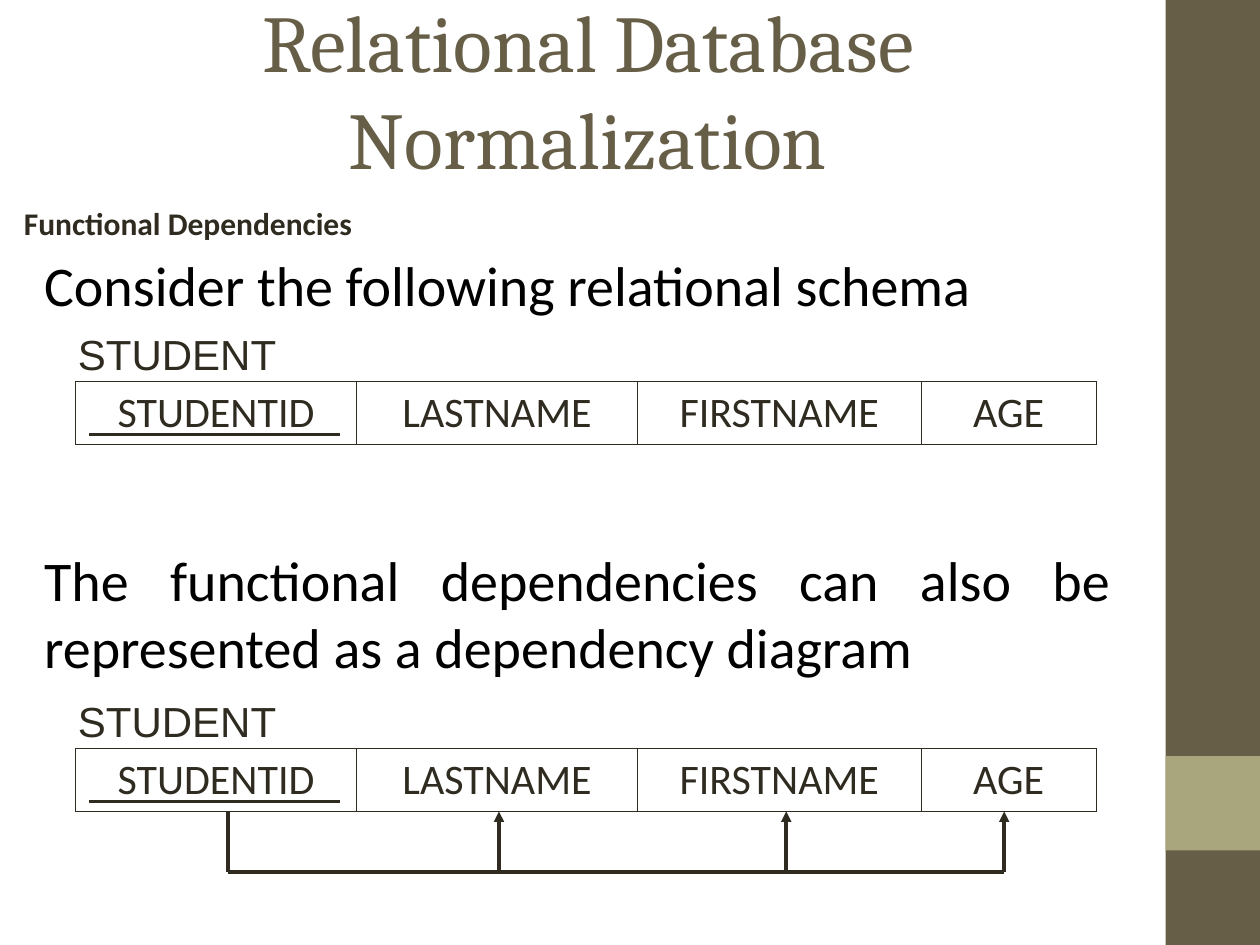
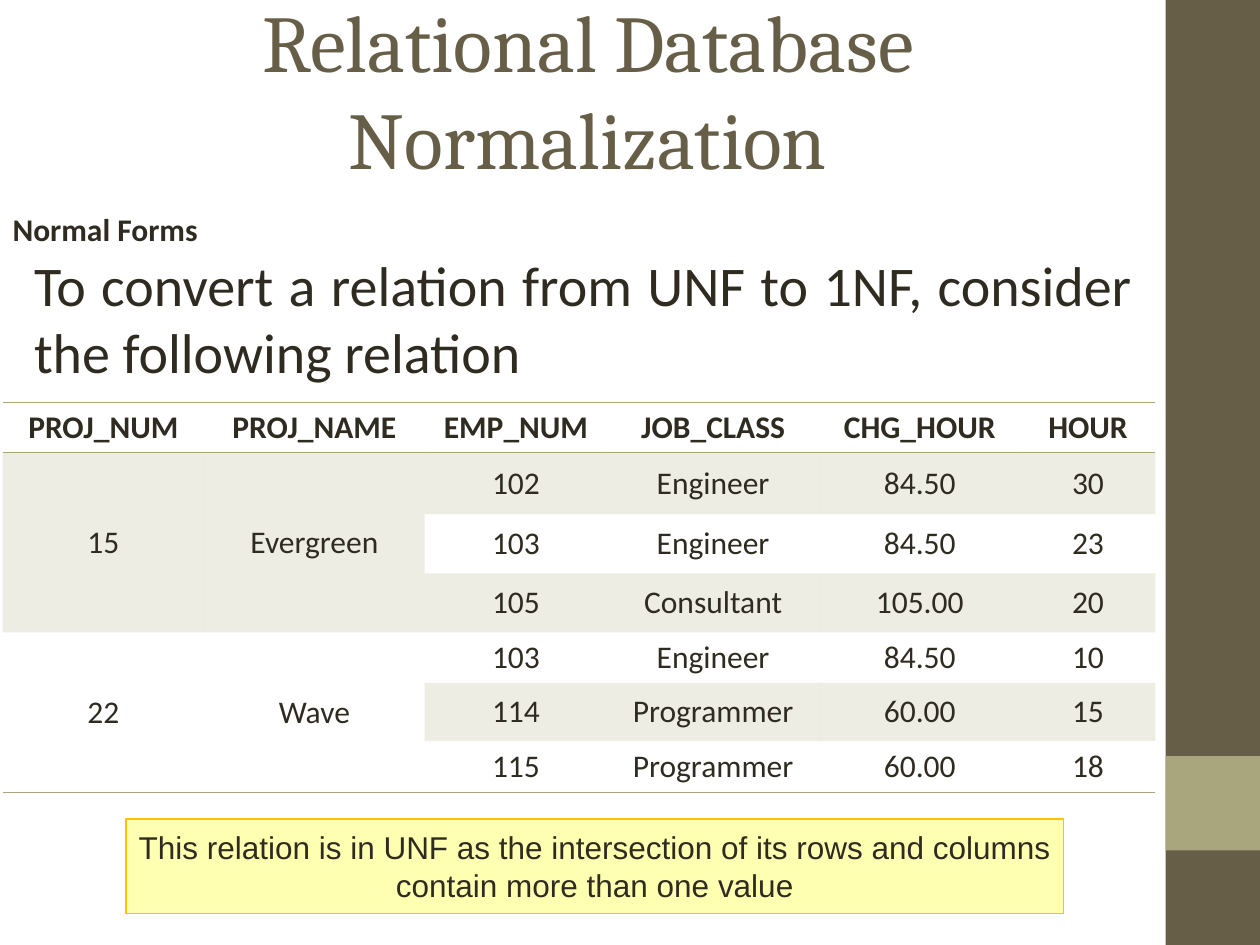
from lxml import etree
from pptx import Presentation
from pptx.dml.color import RGBColor
from pptx.enum.shapes import MSO_CONNECTOR, MSO_SHAPE
from pptx.enum.text import MSO_ANCHOR, MSO_AUTO_SIZE, PP_ALIGN
from pptx.oxml.ns import qn
from pptx.util import Inches, Pt

WIDE, HIGH = Inches(10), Inches(7.5)
UNIT = WIDE // 10  # one grid step, the same for columns and rows

INK = RGBColor(0x2F, 0x2B, 0x20)
BLACK = RGBColor(0, 0, 0)
BROWN = RGBColor(0x67, 0x5E, 0x47)
OLIVE = RGBColor(0xA9, 0xA5, 0x7C)
YELLOW = RGBColor(0xFF, 0xFF, 0)
GOLD = RGBColor(0xFF, 0xC0, 0)

SANS, SERIF, PLAIN = "Calibri", "Cambria", "Arial"
LEFT, MID, FULL = PP_ALIGN.LEFT, PP_ALIGN.CENTER, PP_ALIGN.JUSTIFY
TOP, CENTER = MSO_ANCHOR.TOP, MSO_ANCHOR.MIDDLE
FIXED = MSO_AUTO_SIZE.NONE
RECT, STRAIGHT = MSO_SHAPE.RECTANGLE, MSO_CONNECTOR.STRAIGHT

HEADING = "Relational Database Normalization"
FIELDS = ["STUDENTID", "LASTNAME", "FIRSTNAME", "AGE"]
FIELD_COLS = [2.23, 2.23, 2.25, 1.39]
FIELD_ROW = 0.5

JOBS = [
    ["PROJ_NUM", "PROJ_NAME", "EMP_NUM", "JOB_CLASS", "CHG_HOUR", "HOUR"],
    ["15", "Evergreen", "102", "Engineer", "84.50", "30"],
    ["", "", "103", "Engineer", "84.50", "23"],
    ["", "", "105", "Consultant", "105.00", "20"],
    ["22", "Wave", "103", "Engineer", "84.50", "10"],
    ["", "", "114", "Programmer", "60.00", "15"],
    ["", "", "115", "Programmer", "60.00", "18"],
]
JOB_COLS = [1.6, 1.75, 1.45, 1.68, 1.6, 1.07]
JOB_ROWS = [0.4, 0.49, 0.47, 0.47, 0.4, 0.46, 0.41]
SPAN = 3  # rows that share one project


def grid(*steps):
    return [round(step * UNIT) for step in steps]


def place(shape, *box):
    shape.left, shape.top, shape.width, shape.height = grid(*box)


def write(frame, *lines, size=18, font=SANS, color=INK, bold=False,
          align=LEFT, gap=0, pitch=None):
    """Fill a text frame, one paragraph a line, with gap points between."""
    for i, line in enumerate(lines):
        para = frame.paragraphs[0] if i == 0 else frame.add_paragraph()
        para.alignment = align
        para.space_before = Pt(gap if i else 0)
        if pitch:
            para.line_spacing = Pt(pitch)
        run = para.add_run()
        run.text = line
        run.font.size, run.font.name = Pt(size), font
        run.font.bold, run.font.color.rgb = bold, color


def fade(item, color, share):
    """Fill with a colour that covers only share percent."""
    item.fill.solid()
    item.fill.fore_color.rgb = color
    node = item.fill._xPr.find(".//" + qn("a:srgbClr"))
    etree.SubElement(node, qn("a:alpha"), val=str(share * 1000))


def label(slide, text, left, top, width, height, pad=(0.1, 0.05), **form):
    box = slide.shapes.add_textbox(*grid(left, top, width, height))
    frame = box.text_frame
    frame.word_wrap = True
    frame.margin_left = frame.margin_right = round(pad[0] * UNIT)
    frame.margin_top = frame.margin_bottom = round(pad[1] * UNIT)
    write(frame, text, **form)


def block(slide, *box):
    shape = slide.shapes.add_shape(RECT, *grid(*box))
    shape.shadow.inherit = False
    return shape


def rule(slide, x1, y1, x2, y2, arrow=False):
    line = slide.shapes.add_connector(STRAIGHT, *grid(x1, y1, x2, y2))
    line.line.color.rgb, line.line.width = INK, Pt(2)
    props = line.element.spPr
    if arrow:
        etree.SubElement(props.find(qn("a:ln")), qn("a:tailEnd"),
                         type="triangle")
    etree.SubElement(props, qn("a:effectLst"))


def edge(cell, sides, color):
    """Draw the named sides (of L, R, T, B) and hide the others."""
    props = cell._tc.get_or_add_tcPr()
    for i, side in enumerate("LRTB"):
        line = etree.Element(qn("a:ln" + side), w=str(Pt(0.45)))
        props.insert(i, line)
        if side in sides:
            fill = etree.SubElement(line, qn("a:solidFill"))
            etree.SubElement(fill, qn("a:srgbClr"), val=str(color))
        else:
            etree.SubElement(line, qn("a:noFill"))


def lattice(slide, left, top, cols, rows):
    """Add a bare table with the given column widths and row heights."""
    frame = slide.shapes.add_table(
        len(rows), len(cols), *grid(left, top, sum(cols), sum(rows)))
    table = frame.table
    table.first_row = table.horz_banding = False
    for col, width in zip(table.columns, grid(*cols)):
        col.width = width
    for row, height in zip(table.rows, grid(*rows)):
        row.height = height
    return table


def schema(slide, left, top):
    """Show the STUDENT relation with its key underlined."""
    label(slide, "STUDENT", left - 0.08, top - 0.47, 2.28, 0.5,
          size=24, font=PLAIN)
    table = lattice(slide, left, top, FIELD_COLS, [FIELD_ROW])
    for cell, field in zip(table.rows[0].cells, FIELDS):
        write(cell.text_frame, field, size=24, align=MID)
        cell.fill.background()
        edge(cell, "LRTB", INK)
    rule(slide, left + 0.11, top + 0.42, left + 2.1, top + 0.42)


def arrows(slide, top, base, start, ends):
    """Lead from the key down to a base line and up to each field."""
    rule(slide, start, top, start, base)
    rule(slide, start, base, ends[-1], base)
    for end in ends:
        rule(slide, end, base, end, top, arrow=True)


def jobs(slide, left, top):
    table = lattice(slide, left, top, JOB_COLS, JOB_ROWS)
    last = len(JOBS) - 1
    for r, row in enumerate(JOBS):
        for c, text in enumerate(row):
            cell = table.cell(r, c)
            merged = c < 2 and r > 0
            if text:
                write(cell.text_frame, text, bold=r == 0, align=MID)
            cell.vertical_anchor = CENTER if r else TOP
            if (1 <= r <= SPAN) if merged else r % 2:
                fade(cell, OLIVE, 20)
            else:
                cell.fill.background()
            foot = r + SPAN - 1 if merged else r
            sides = "T" if r < 2 else ""
            sides += "B" if r == 0 or foot >= last else ""
            edge(cell, sides, OLIVE)
    for r in range(1, last, SPAN):
        for c in range(2):
            table.cell(r, c).merge(table.cell(r + SPAN - 1, c))


def note(slide, text, *box):
    shape = block(slide, *box)
    fade(shape, YELLOW, 30)
    shape.line.color.rgb, shape.line.width = GOLD, Pt(0.75)
    shape.text_frame.word_wrap = True
    shape.text_frame.vertical_anchor = CENTER
    write(shape.text_frame, text, font=PLAIN, align=MID)


def dress(slide, layout):
    """Give the layout its title place and side bands, via one slide."""
    place(layout.placeholders[0], 0.5, 0.08, 8.33, 1.25)
    for top, height, color in [(0, 7.5, BROWN), (6, 0.75, OLIVE)]:
        band = block(slide, 9.25, top, 0.75, height)
        band.fill.solid()
        band.fill.fore_color.rgb = color
        band.line.fill.background()
        layout.shapes.element.append(band.element)


def head(slide, topic, left, top):
    frame = slide.shapes.title.text_frame
    frame.auto_size, frame.vertical_anchor = FIXED, CENTER
    write(frame, HEADING, size=46, font=SERIF, color=BROWN, align=MID)
    label(slide, topic, left, top, 8.94, 0.35, pad=(0.08, 0),
          bold=True, pitch=18)


def lead(slide, lines, *box, **form):
    body = slide.placeholders[1]
    place(body, *box)
    frame = body.text_frame
    frame.auto_size = FIXED
    write(frame, *lines, size=32, align=FULL, **form)
    for para in frame.paragraphs:
        props = para._p.get_or_add_pPr()
        props.set("marL", "0")
        props.set("indent", "0")
        etree.SubElement(props, qn("a:buNone"))


def main():
    deck = Presentation()
    deck.slide_width, deck.slide_height = WIDE, HIGH
    layout = deck.slide_layouts[1]

    slide = deck.slides.add_slide(layout)
    dress(slide, layout)
    head(slide, "Functional Dependencies", 0.11, 1.67)
    lead(slide, ["Consider the following relational schema",
                 "The functional dependencies can also be represented "
                 "as a dependency diagram"],
         0.25, 1.94, 8.67, 3.5, color=BLACK, gap=130)
    for top in (3.03, 5.94):
        schema(slide, 0.6, top)
    arrows(slide, 6.44, 6.92, 1.81, [3.96, 6.24, 7.97])

    slide = deck.slides.add_slide(layout)
    head(slide, "Normal Forms", 0.02, 1.72)
    lead(slide, ["To convert a relation from UNF to 1NF, consider "
                 "the following relation"], 0.17, 1.94, 8.92, 1.18)
    jobs(slide, 0.02, 3.19)
    note(slide, "This relation is in UNF as the intersection of its rows "
         "and columns contain more than one value", 1, 6.5, 7.44, 0.75)

    deck.save("out.pptx")


if __name__ == "__main__":
    main()
